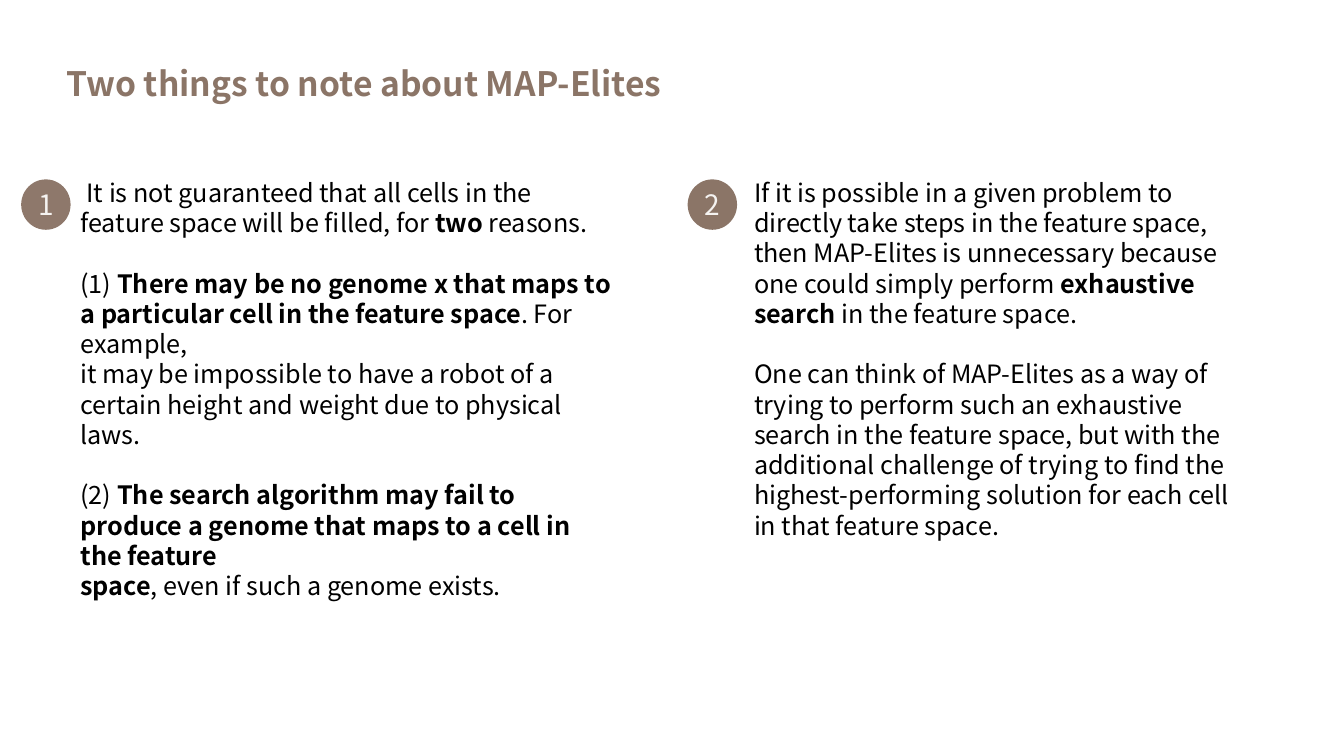
from pptx import Presentation
from pptx.dml.color import RGBColor
from pptx.enum.shapes import MSO_SHAPE as SHAPE
from pptx.enum.text import MSO_ANCHOR as ANCHOR, PP_ALIGN as ALIGN
from pptx.util import Inches, Pt

FONT = "Noto Sans CJK SC"
BROWN, BLACK, CREAM = "8B7567", "000000", "F5F3F1"
LINE = 21.6  # body line pitch in points

# Paragraphs: (starts a new block, runs of (text, bold))
GUARANTEE = [
    (False, [("It is not guaranteed that all cells in the feature space will be filled, for ", False),
             ("two", True), (" reasons.", False)]),
    (True, [("(1) ", False),
            ("There may be no genome x that maps to a particular cell in the feature space", True),
            (". For example,", False)]),
    (False, [("it may be impossible to have a robot of a certain height and weight "
              "due to physical laws.", False)]),
    (True, [("(2) ", False),
            ("The search algorithm may fail to produce a genome that maps to a cell "
             "in the feature", True)]),
    (False, [("space", True), (", even if such a genome exists.", False)]),
]
EXHAUSTIVE = [
    (False, [("If it is possible in a given problem to directly take steps in the feature space, "
              "then MAP-Elites is unnecessary because one could simply perform ", False),
             ("exhaustive search ", True), ("in the feature space.", False)]),
    (True, [("One can think of MAP-Elites as a way of trying to perform such an exhaustive search "
             "in the feature space, but with the additional challenge of trying to find the "
             "highest-performing solution for each cell in that feature space.", False)]),
]


def rgb(color):
    return RGBColor.from_string(color)


def style(r, size, color, bold=False):
    r.font.name, r.font.size, r.font.bold = FONT, Pt(size), bold
    r.font.color.rgb = rgb(color)


def add_title(slide, x, y, w, h):
    sp = slide.shapes.title
    sp.left, sp.top, sp.width, sp.height = map(Inches, (x, y, w, h))
    tf = sp.text_frame
    tf.text = "Two things to note about MAP-Elites"
    tf.vertical_anchor = ANCHOR.TOP
    p = tf.paragraphs[0]
    p.alignment, p.line_spacing = ALIGN.LEFT, Pt(28.8)
    style(p.runs[0], 24, BROWN, True)


def add_badge(slide, number, x, y, color):
    sp = slide.shapes.add_shape(SHAPE.OVAL, Inches(x), Inches(y), Inches(0.49), Inches(0.5))
    sp.shadow.inherit = False
    sp.fill.solid()
    sp.fill.fore_color.rgb = rgb(color)
    sp.line.fill.background()
    tf = sp.text_frame
    tf.margin_left = tf.margin_right = tf.margin_top = tf.margin_bottom = 0
    tf.vertical_anchor = ANCHOR.MIDDLE
    tf.text = number
    p = tf.paragraphs[0]
    p.alignment, p.line_spacing = ALIGN.CENTER, Pt(24)
    style(p.runs[0], 20, CREAM)


def add_note(slide, paragraphs, x, y, w, h, first_indent=0):
    tf = slide.shapes.add_textbox(*map(Inches, (x, y, w, h))).text_frame
    tf.word_wrap = True
    for i, (new_block, runs) in enumerate(paragraphs):
        p = tf.paragraphs[0] if i == 0 else tf.add_paragraph()
        p.line_spacing = Pt(LINE)
        if new_block:
            p.space_before = Pt(LINE)
        for text, bold in runs:
            r = p.add_run()
            r.text = text
            style(r, 18, BLACK, bold)
    if first_indent:
        tf.paragraphs[0]._p.get_or_add_pPr().set("indent", str(Inches(first_indent)))


def main():
    prs = Presentation()
    prs.slide_width, prs.slide_height = Inches(13.33), Inches(7.5)
    slide = prs.slides.add_slide(prs.slide_layouts[5])
    add_title(slide, 0.56, 0.57, 7.14, 0.81)
    # Left and right notes with their numbers
    add_note(slide, GUARANTEE, 0.7, 1.71, 5.5, 3.43, first_indent=0.06)
    add_note(slide, EXHAUSTIVE, 7.38, 1.71, 5.12, 3.74)
    add_badge(slide, "1", 0.21, 1.78, "8E786B")
    add_badge(slide, "2", 6.82, 1.78, BROWN)
    prs.save("out.pptx")


if __name__ == "__main__":
    main()
